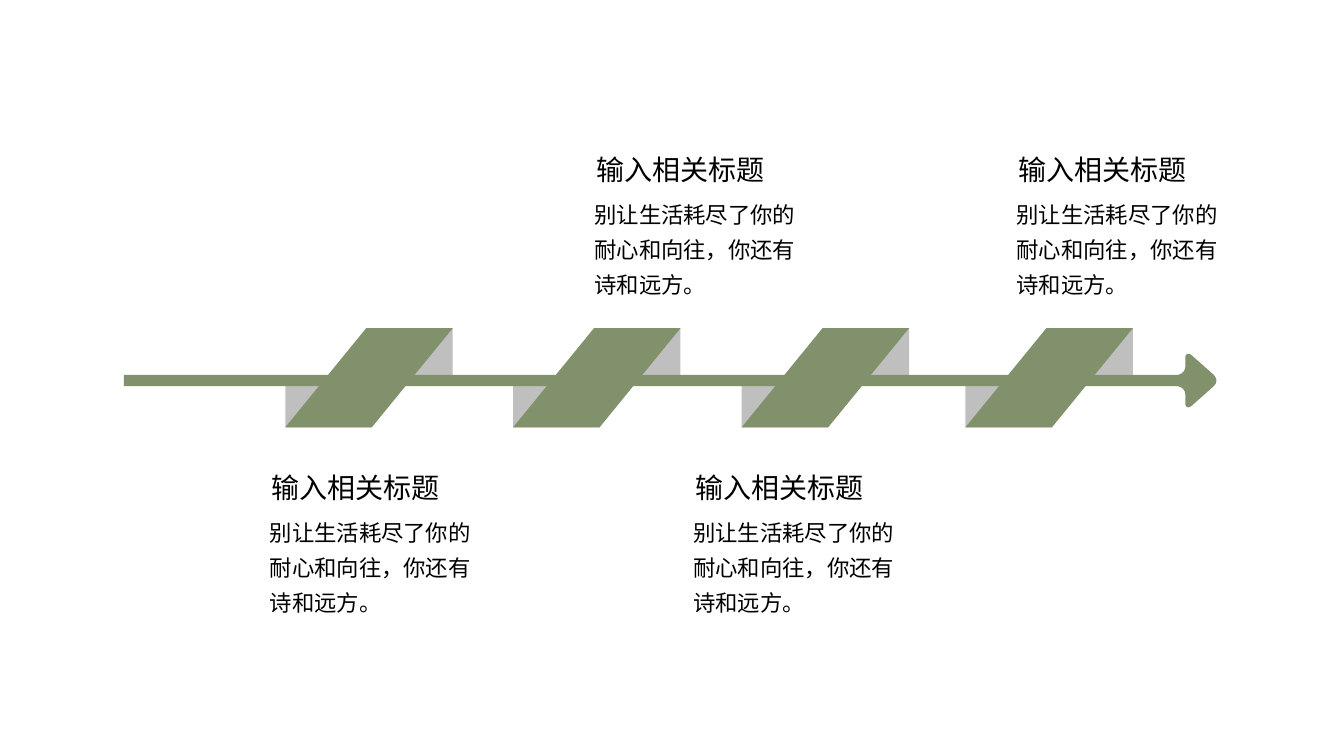
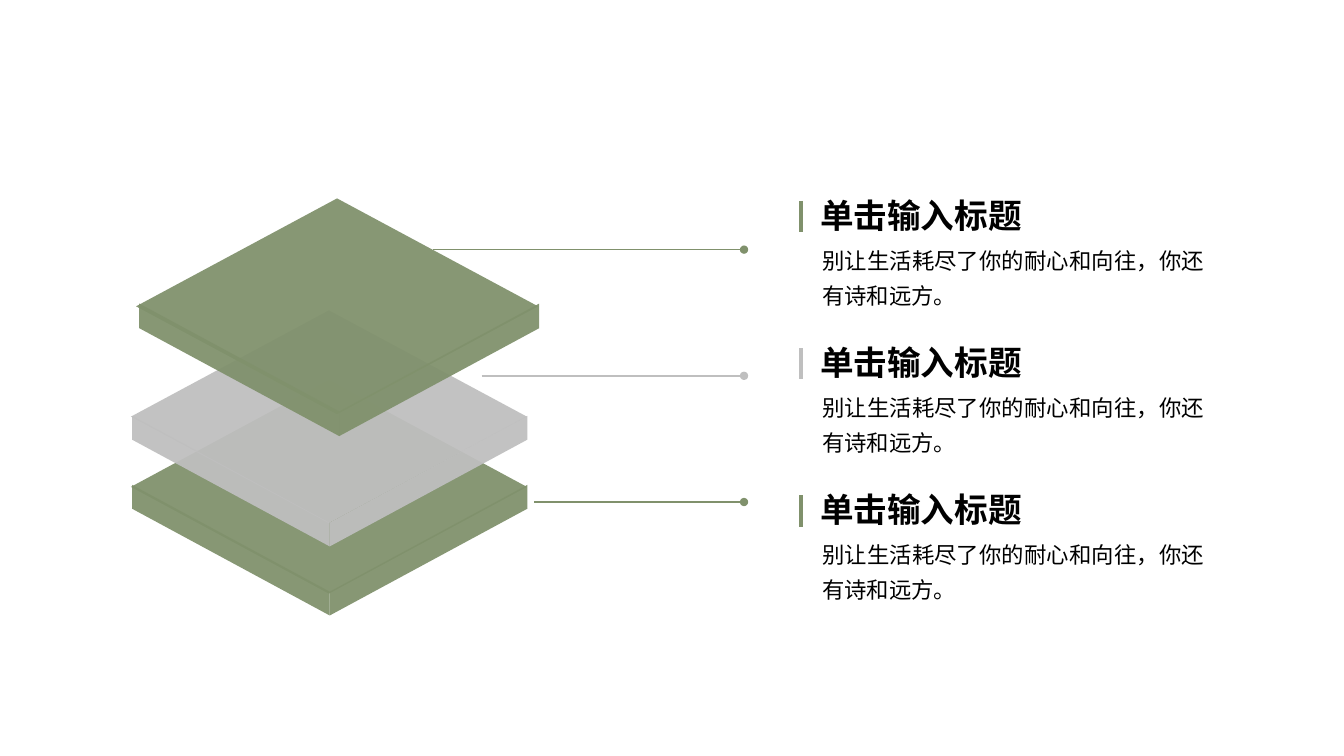
from pptx import Presentation
from pptx import util as u
from pptx.dml.color import RGBColor
from pptx.enum import shapes, text
from pptx.oxml import ns
from lxml import etree

GREEN = RGBColor(0x80, 0x91, 0x6C)
GRAY = RGBColor(0xBF, 0xBF, 0xBF)
BLACK = RGBColor(0, 0, 0)
FONT = "Noto Sans CJK JP"
BLANK_LAYOUT = 6

# Content; all lengths are in centimetres
SENTENCE = "别让生活耗尽了你的耐心和向往，你还有诗和远方。"
STEP_TITLE = "输入相关标题"
LAYER_TITLE = "单击输入标题"

RIBBON_LEFTS = [7.19, 12.93, 18.69, 24.33]
RIBBON_TOP, RIBBON_BOTTOM = 8.27, 10.77
RIBBON_SLANT, RIBBON_WIDTH = 2.04, 2.18
FOLD_HEIGHT = 1.3
STEPS = [(14.73, 3.71), (25.37, 3.71), (6.55, 11.73), (17.22, 11.73)]

ARROW_AXIS = 9.59
ARROW_START = (3.12, -0.14)
# Upper half of the arrow, as offsets from its axis
ARROW_NECK = [(29.64, -0.14), (29.77, -0.14), (29.87, -0.24), (29.87, -0.34)]
ARROW_BARB = [(29.87, -0.57), (29.87, -0.67), (29.95, -0.72), (30.05, -0.62)]
ARROW_TIP = [(30.58, -0.15), (30.68, -0.05), (30.68, 0.05), (30.58, 0.15)]

# From bottom to top: colour, lid (left, top, width, height),
# walls (left, top, width of one wall, drop, thickness)
SLABS = [
    (GREEN, (3.3, 9.58, 9.98, 5.38), (3.33, 12.22, 4.98, 2.69, 0.6)),
    (GRAY, (3.3, 7.82, 9.98, 5.36), (3.33, 10.48, 4.98, 2.69, 0.6)),
    (GREEN, (3.43, 5, 10.13, 5.44), (3.51, 7.65, 5.04, 2.72, 0.62)),
]
SLAB_OPACITY = 94
# From top to bottom: colour and start of the leader line
LAYERS = [(GREEN, 10.9), (GRAY, 12.14), (GREEN, 13.46)]
LEADER_TOP, LEADER_PITCH, LEADER_END = 6.29, 3.18, 18.75
LAYER_TOP, LAYER_PITCH = 4.78, 3.71


def paint(shape, color):
    shape.shadow.inherit = False
    shape.fill.solid()
    shape.fill.fore_color.rgb = color
    shape.line.fill.background()


def add_outline(page, points, color, opacity=100):
    corners = [(u.Cm(x), u.Cm(y)) for x, y in points]
    builder = page.shapes.build_freeform(*corners[0], scale=1.0)
    builder.add_line_segments(corners[1:], close=True)
    shape = builder.convert_to_shape()
    paint(shape, color)
    if opacity < 100:
        tint = shape.element.spPr.find(".//" + ns.qn("a:srgbClr"))
        etree.SubElement(tint, ns.qn("a:alpha"), val=str(opacity * 1000))


def add_line(page, start, end, color, width, dot=False):
    line = page.shapes.add_connector(
        shapes.MSO_CONNECTOR.STRAIGHT, *(u.Cm(v) for v in (*start, *end)))
    line.line.color.rgb = color
    line.line.width = u.Pt(width)
    if dot:
        etree.SubElement(line.line._get_or_add_ln(), ns.qn("a:tailEnd"), type="oval")
    etree.SubElement(line.element.spPr, ns.qn("a:effectLst"))


def add_text(page, place, words, size, bold=False, spacing=None, align=None):
    box = page.shapes.add_textbox(*(u.Cm(v) for v in place))
    frame = box.text_frame
    frame.word_wrap = True
    frame.auto_size = text.MSO_AUTO_SIZE.SHAPE_TO_FIT_TEXT
    para = frame.paragraphs[0]
    para.line_spacing = spacing
    para.alignment = align
    span = para.add_run()
    span.text = words
    span.font.name = FONT
    span.font.size = u.Pt(size)
    span.font.bold = bold
    span.font.color.rgb = BLACK
    etree.SubElement(span.font._element, ns.qn("a:ea"), typeface=FONT)


def curve(controls, pieces=12):
    """Points along a cubic curve with four control points."""
    points = []
    for step in range(pieces + 1):
        t = step / pieces
        weights = ((1 - t) ** 3, 3 * t * (1 - t) ** 2, 3 * t * t * (1 - t), t ** 3)
        points.append(tuple(sum(w * c[axis] for w, c in zip(weights, controls))
                            for axis in (0, 1)))
    return points


def build_timeline(deck):
    page = deck.slides.add_slide(deck.slide_layouts[BLANK_LAYOUT])

    # Folds behind the ribbons
    for left in RIBBON_LEFTS:
        for x, y in ((left, RIBBON_BOTTOM - FOLD_HEIGHT),
                     (left + RIBBON_SLANT, RIBBON_TOP)):
            fold = page.shapes.add_shape(
                shapes.MSO_SHAPE.RECTANGLE,
                *(u.Cm(v) for v in (x, y, RIBBON_WIDTH, FOLD_HEIGHT)))
            paint(fold, GRAY)

    # Arrow, mirrored about its axis
    upper = [ARROW_START] + curve(ARROW_NECK) + curve(ARROW_BARB)
    lower = [(x, -y) for x, y in reversed(upper)]
    outline = upper + curve(ARROW_TIP) + lower
    add_outline(page, [(x, ARROW_AXIS + y) for x, y in outline], GREEN)

    # Ribbons
    for left in RIBBON_LEFTS:
        inner = left + RIBBON_SLANT
        add_outline(page, [(inner + RIBBON_WIDTH, RIBBON_TOP), (inner, RIBBON_TOP),
                           (left, RIBBON_BOTTOM),
                           (left + RIBBON_WIDTH, RIBBON_BOTTOM)], GREEN)

    # Captions
    for left, top in STEPS:
        add_text(page, (left, top + 1.03, 5.84, 2.82), SENTENCE, 16, spacing=1.3)
        add_text(page, (left + 0.05, top, 6.15, 1.12), STEP_TITLE, 20)


def build_layers(deck):
    page = deck.slides.add_slide(deck.slide_layouts[BLANK_LAYOUT])

    # Slabs: a lid, then the right and left walls
    for color, (left, top, width, height), walls in SLABS:
        middle_x, middle_y = left + width / 2, top + height / 2
        lid = [(left + width, middle_y), (middle_x, top + height),
               (left, middle_y), (middle_x, top)]
        add_outline(page, lid, color, SLAB_OPACITY)
        wall_left, wall_top, span, drop, thickness = walls
        front = wall_left + span
        for side in (front + span, wall_left):
            wall = [(side, wall_top), (front, wall_top + drop),
                    (front, wall_top + drop + thickness), (side, wall_top + thickness)]
            add_outline(page, wall, color, SLAB_OPACITY)

    # Leader lines and descriptions
    for index, (color, start) in enumerate(LAYERS):
        y = LEADER_TOP + index * LEADER_PITCH
        add_line(page, (start, y), (LEADER_END, y), color, 1, dot=True)
        top = LAYER_TOP + index * LAYER_PITCH
        add_text(page, (20.42, top, 10.62, 1.27), LAYER_TITLE, 24, bold=True)
        add_line(page, (20.19, top + 0.28), (20.19, top + 1.07), color, 3)
        add_text(page, (20.47, top + 1.12, 10.13, 1.93), SENTENCE, 16,
                 spacing=1.3, align=text.PP_ALIGN.JUSTIFY)


def main():
    deck = Presentation()
    deck.slide_width, deck.slide_height = u.Cm(33.87), u.Cm(19.05)
    build_timeline(deck)
    build_layers(deck)
    deck.save("out.pptx")


if __name__ == "__main__":
    main()
